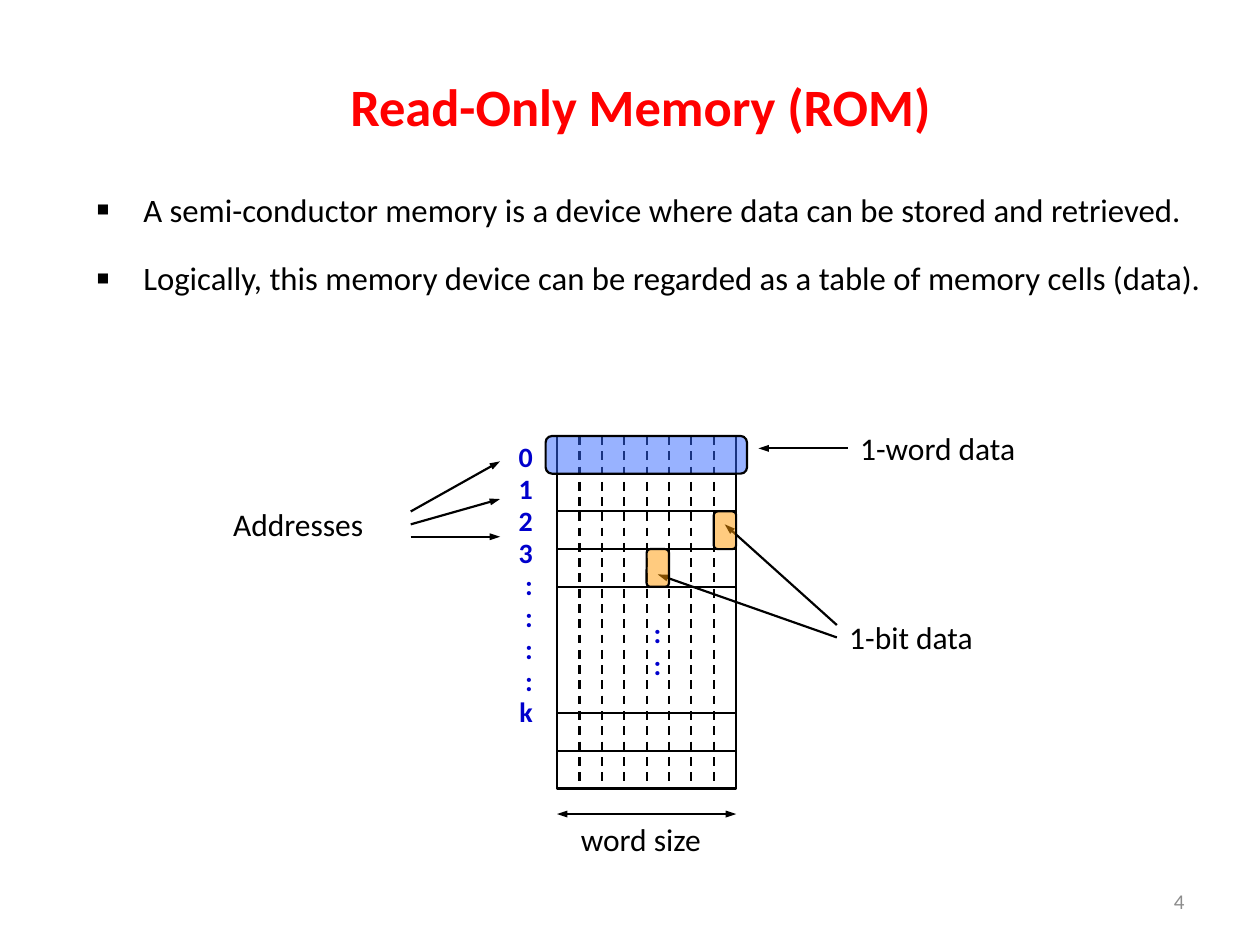
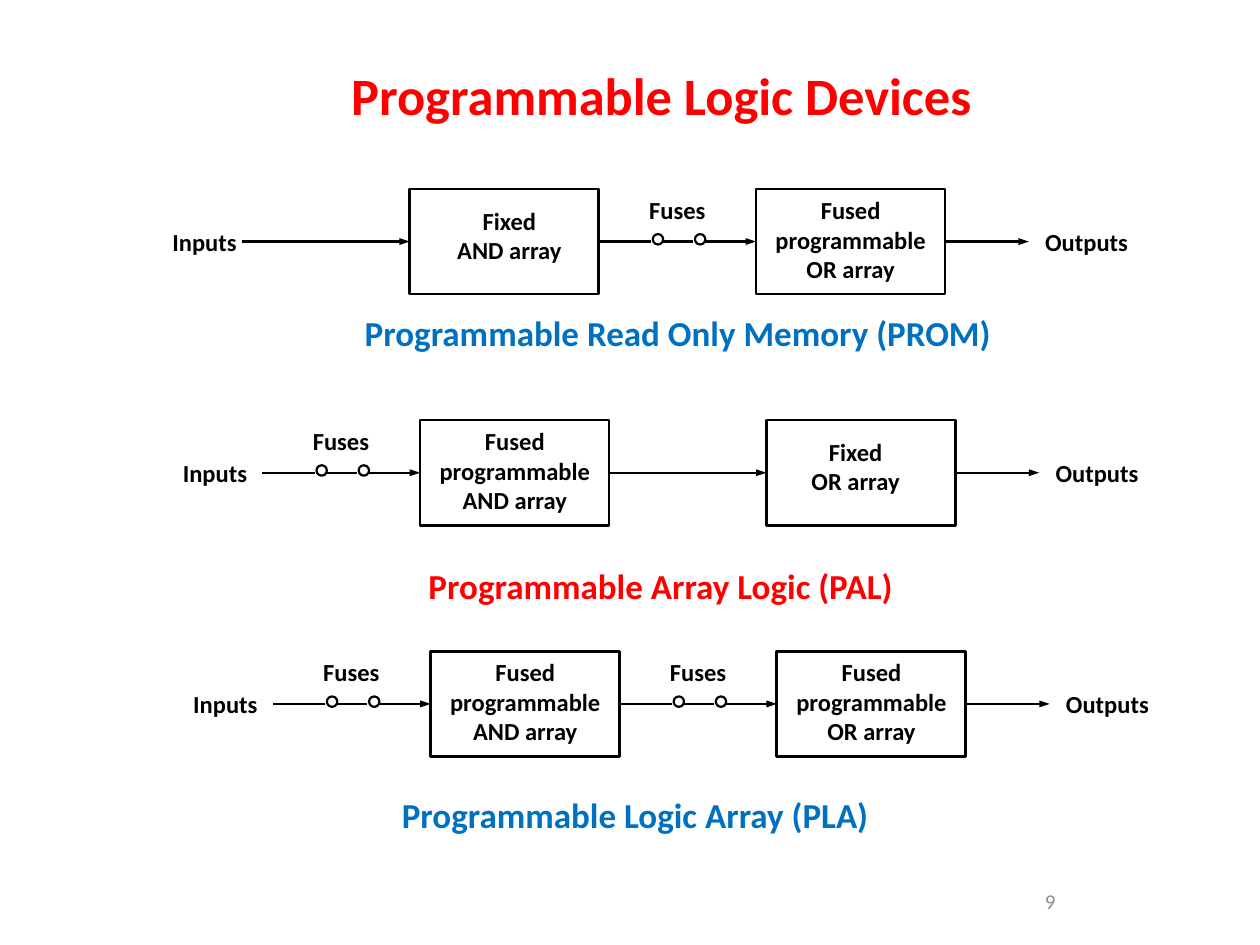
from lxml import etree
from pptx import Presentation
from pptx.dml.color import RGBColor
from pptx.enum.dml import MSO_LINE
from pptx.enum.shapes import MSO_CONNECTOR, MSO_SHAPE
from pptx.enum.text import MSO_ANCHOR, PP_ALIGN
from pptx.oxml.ns import qn
from pptx.util import Cm, Pt

LEFT, CENTER, RIGHT, JUSTIFY = (PP_ALIGN.LEFT, PP_ALIGN.CENTER,
                                PP_ALIGN.RIGHT, PP_ALIGN.JUSTIFY)
TOP, MIDDLE = MSO_ANCHOR.TOP, MSO_ANCHOR.MIDDLE
RECT, ROUND, OVAL = MSO_SHAPE.RECTANGLE, MSO_SHAPE.ROUNDED_RECTANGLE, MSO_SHAPE.OVAL
STRAIGHT, DASH = MSO_CONNECTOR.STRAIGHT, MSO_LINE.DASH
SITE_TOP, SITE_LEFT, SITE_BOTTOM, SITE_RIGHT = range(4)

FONT = "Calibri"
BLACK, GREY, RED, BLUE = "000000", "8C8C8C", "FF0000", "0070C0"
NAVY, WORD_FILL, BIT_FILL = "0000CC", "3366FF", "FF9900"
THIN, THICK = 1.25, 1.5

# ---- Content: read-only memory (all lengths in cm) ----
BULLETS = [
    "A semi-conductor memory is a device where data can be stored and retrieved.",
    "Logically, this memory device can be regarded as a table of memory cells (data).",
]
MEM_X, MEM_Y, MEM_W, MEM_H = 11.23, 8.79, 3.61, 7.11
COLUMNS, ROW_H = 8, 0.76
ADDRESSES = ["0", "1", "2", "3", ":", ":", ":", ":", "k"]
BIT_CELLS = [(4, 3), (7, 2)]  # column, row
MEMORY_LABELS = [  # text, x, y, width
    ("Addresses", 4.45, 10.06, 3.84),
    ("1-word data", 17.09, 8.53, 4.29),
    ("1-bit data", 16.87, 12.34, 3.38),
    ("word size", 11.46, 16.41, 3.61),
]
MEMORY_ARROWS = [  # start, end
    ((8.28, 10.31), (10.08, 9.3)),
    ((8.28, 10.57), (10.08, 10.06)),
    ((8.28, 10.82), (10.08, 10.82)),
    ((17.09, 9.04), (15.29, 9.04)),
    ((16.87, 12.6), (14.61, 10.57)),
    ((16.87, 12.85), (13.26, 11.58)),
]

# ---- Content: logic devices ----
FUSED = ["Fused", "programmable"]
DEVICES = [  # AND fused, OR fused, caption, caption colour, caption x, y, width
    (False, True, "Programmable Read Only Memory (PROM)", BLUE, 5.51, 6.15, 16.31),
    (True, False, "Programmable Array Logic (PAL)", RED, 6.55, 11.25, 13.54),
    (True, True, "Programmable Logic Array (PLA)", BLUE, 5.72, 15.88, 14.17),
]
DEVICE_Y, STEP_X, STEP_Y = 3.81, 0.21, 4.66
AND_X, OR_X, BLOCK_W, BLOCK_H = 8.26, 15.24, 3.81, 2.12
FIXED_DX = {"AND": 0.42, "OR": 0.21}
LINK_W, FUSE_D = 3.18, 0.21
FUSE_LEAD, FUSE_GAP = 1.06, 0.63


# ---- Helpers ----
def rgb(color):
    return RGBColor.from_string(color)


def write(tf, lines, size, color=BLACK, bold=False, align=LEFT, spacing=None):
    for i, line in enumerate(lines):
        p = tf.paragraphs[0] if i == 0 else tf.add_paragraph()
        p.alignment = align
        if spacing:
            p.line_spacing = spacing
        r = p.add_run()
        r.text = line
        r.font.name, r.font.size, r.font.bold = FONT, Pt(size), bold
        r.font.color.rgb = rgb(color)


def add_text(s, x, y, w, h, lines, size, anchor=TOP, **style):
    tf = s.shapes.add_textbox(Cm(x), Cm(y), Cm(w), Cm(h)).text_frame
    tf.word_wrap = True
    tf.vertical_anchor = anchor
    write(tf, lines, size, **style)
    return tf


def add_shape(s, kind, x, y, w, h, width=THIN, fill=None):
    sp = s.shapes.add_shape(kind, Cm(x), Cm(y), Cm(w), Cm(h))
    sp.shadow.inherit = False
    sp.line.color.rgb = rgb(BLACK)
    sp.line.width = Pt(width)
    if fill:
        sp.fill.solid()
        sp.fill.fore_color.rgb = rgb(fill)
        clr = sp.fill._xPr.find(qn("a:solidFill"))[0]
        etree.SubElement(clr, qn("a:alpha")).set("val", "50000")
    else:
        sp.fill.background()
    return sp


def add_line(s, start, end, heads=(), dash=None):
    c = s.shapes.add_connector(STRAIGHT, *(Cm(v) for v in (*start, *end)))
    c.line.color.rgb = rgb(BLACK)
    c.line.width = Pt(THIN)
    if dash:
        c.line.dash_style = dash
    for head in heads:
        tag = etree.SubElement(c.line._get_or_add_ln(), qn("a:" + head))
        for key, value in (("type", "triangle"), ("w", "sm"), ("len", "med")):
            tag.set(key, value)
    etree.SubElement(c._element.spPr, qn("a:effectLst"))
    return c


def add_bullet(p):
    pPr = p._p.get_or_add_pPr()
    pPr.set("marL", str(Cm(0.95)))
    pPr.set("indent", str(-Cm(0.95)))
    etree.SubElement(pPr, qn("a:buSzPct")).set("val", "120000")
    etree.SubElement(pPr, qn("a:buFont")).set("typeface", FONT)
    etree.SubElement(pPr, qn("a:buChar")).set("char", "▪")


def new_slide(prs, title, x, y, number, number_align):
    s = prs.slides.add_slide(prs.slide_layouts[5])
    t = s.shapes.title
    t.left, t.top, t.width, t.height = Cm(x), Cm(y), Cm(21.59), Cm(2.12)
    t.text_frame.vertical_anchor = MIDDLE
    write(t.text_frame, [title], 30, color=RED, bold=True, align=CENTER)
    add_text(s, 18.21, 17.65, 5.92, 1.02, [number], 12, MIDDLE,
             color=GREY, align=number_align)
    return s


# ---- Read-only memory ----
def draw_memory(s):
    tf = add_text(s, 1.69, 3.39, 22.86, 4.66, BULLETS, 18.7,
                  align=JUSTIFY, spacing=1.4)
    for p in tf.paragraphs:
        add_bullet(p)
    for p in tf.paragraphs[1:]:
        p.space_before = Pt(7.5)

    # Grid of cells
    col_w, right, bottom = MEM_W / COLUMNS, MEM_X + MEM_W, MEM_Y + MEM_H
    memory = add_shape(s, RECT, MEM_X, MEM_Y, MEM_W, MEM_H, THICK)
    row_lines = [MEM_Y + ROW_H * i for i in range(1, 5)]
    row_lines += [bottom - ROW_H * i for i in (2, 1)]
    for y in row_lines:
        add_line(s, (MEM_X, y), (right, y))
    for i in range(1, COLUMNS):
        x = MEM_X + col_w * i
        c = add_line(s, (x, MEM_Y), (x, bottom), dash=DASH)
        if i * 2 == COLUMNS:
            c.begin_connect(memory, SITE_TOP)
            c.end_connect(memory, SITE_BOTTOM)

    # Addresses, labels and arrows
    address_style = dict(color=NAVY, bold=True, align=RIGHT, spacing=0.95)
    add_text(s, 10.08, MEM_Y, 0.91, 6.1, ADDRESSES, 16, **address_style)
    add_text(s, 12.67, 12.34, 0.91, 1.85, [":", ":"], 16, **address_style)
    for label, x, y, w in MEMORY_LABELS:
        add_text(s, x, y, w, 1.22, [label], 18)
    for start, end in MEMORY_ARROWS:
        add_line(s, start, end, ["tailEnd"])
    add_line(s, (right, 16.41), (MEM_X, 16.41), ["headEnd", "tailEnd"])

    # Highlighted word and bits
    marks = [(MEM_X - 0.23, MEM_Y, 4.06, WORD_FILL)]
    marks += [(MEM_X + col_w * col, MEM_Y + ROW_H * row, col_w, BIT_FILL)
              for col, row in BIT_CELLS]
    for x, y, w, fill in marks:
        add_shape(s, ROUND, x, y, w, ROW_H, fill=fill).adjustments[0] = 0.17


# ---- Logic devices ----
def add_label(s, x, y, w, lines, h=0.84):
    add_text(s, x, y, w, h, lines, 14, bold=True, align=CENTER)


def add_block(s, x, y, gate, fused):
    block = add_shape(s, RECT, x, y, BLOCK_W, BLOCK_H, THICK)
    if fused:
        add_label(s, x - 0.21, y, 4.24, FUSED + [gate + " array"], 2.06)
    else:
        add_label(s, x + FIXED_DX[gate], y + 0.21, 3.18,
                  ["Fixed", gate + " array"], 1.45)
    return block


def add_link(s, x, top, target, fused, source=None):
    """Line into the left side of target, with two fuses if fused."""
    y, end = top + BLOCK_H / 2, x + LINK_W
    if fused:
        near, far = x + FUSE_LEAD, end - FUSE_LEAD
        first = add_line(s, (x, y), (near, y))
        add_line(s, (near + FUSE_D, y), (near + FUSE_D + FUSE_GAP, y))
        last = add_line(s, (far, y), (end, y), ["tailEnd"])
        for fuse_x in (near + 0.03, far - FUSE_D + 0.03):
            add_shape(s, OVAL, fuse_x, y - 0.15, FUSE_D, FUSE_D)
        add_label(s, x + 0.42, top, 2.33, ["Fuses"])
    else:
        start = x if source else x - 0.21
        first = last = add_line(s, (start, y), (end, y), ["tailEnd"])
    if source:
        first.begin_connect(source, SITE_RIGHT)
    last.end_connect(target, SITE_LEFT)


def draw_devices(s):
    for i, (and_fused, or_fused, caption, color, cx, cy, cw) in enumerate(DEVICES):
        dx, y = STEP_X * i, DEVICE_Y + STEP_Y * i
        and_x, or_x = AND_X + dx, OR_X + dx
        and_block = add_block(s, and_x, y, "AND", and_fused)
        or_block = add_block(s, or_x, y, "OR", or_fused)
        add_link(s, and_x - LINK_W, y, and_block, and_fused)
        add_link(s, and_x + BLOCK_W, y, or_block, or_fused, and_block)

        mid, out_x = y + BLOCK_H / 2, or_x + BLOCK_W
        out = add_line(s, (out_x, mid), (out_x + 1.69, mid), ["tailEnd"])
        out.begin_connect(or_block, SITE_RIGHT)
        add_label(s, 2.96 + dx, y + 0.64, 2.33, ["Inputs"])
        add_label(s, 20.53 + dx, y + 0.64, 2.75, ["Outputs"])
        add_text(s, cx, cy, cw, 1.27, [caption], 20,
                 color=color, bold=True, align=CENTER)


def main():
    prs = Presentation()
    prs.slide_width, prs.slide_height = Cm(25.4), Cm(19.05)
    draw_memory(new_slide(prs, "Read-Only Memory (ROM)", 2.12, 1.06, "4", RIGHT))
    draw_devices(new_slide(prs, "Programmable Logic Devices", 2.54, 0.85, "9", CENTER))
    prs.save("out.pptx")


if __name__ == "__main__":
    main()
